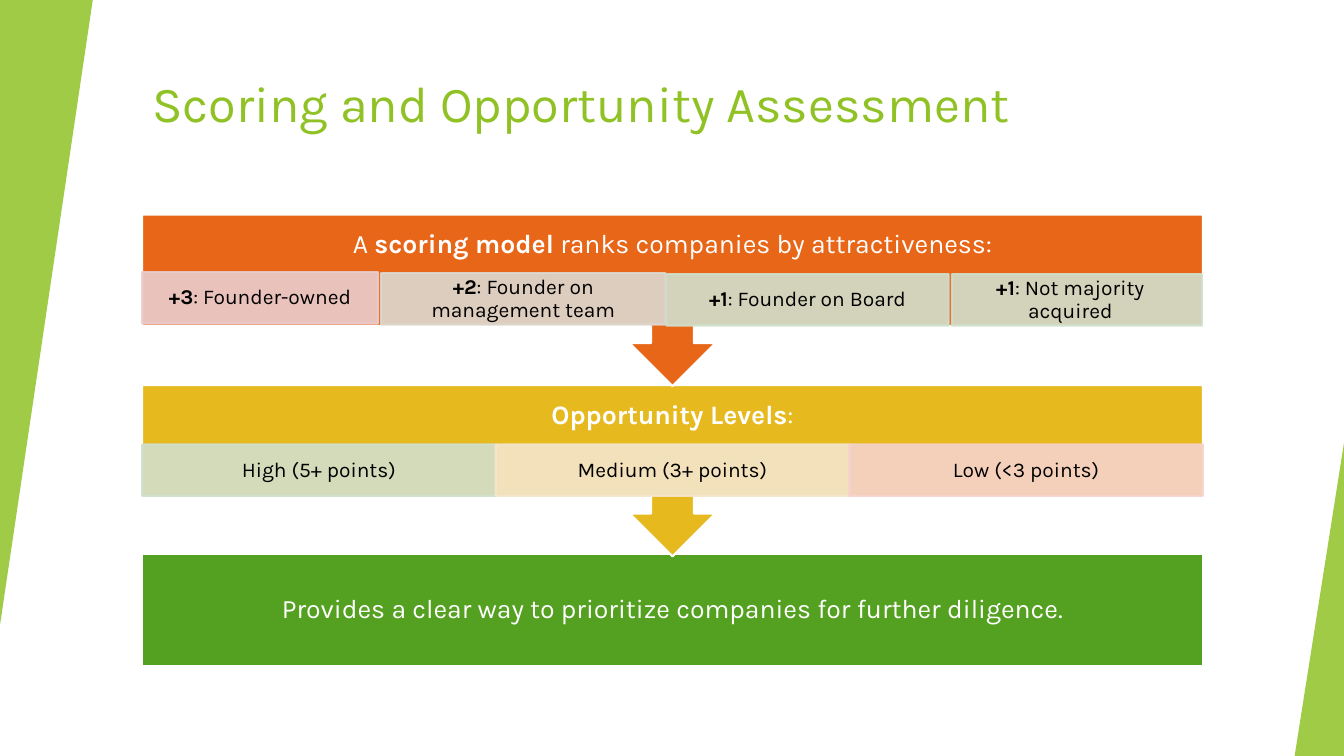
from pptx import Presentation
from pptx import util as u
from pptx.dml.color import RGBColor
from pptx.enum import shapes, text
from pptx.oxml import parse_xml
from pptx.oxml.ns import nsdecls

FONT = "Karla"
LIME, WHITE, BLACK = "90C226", "FFFFFF", "000000"
LEFT, WIDTH = 1.41, 10.52
STAGE_HEIGHT, CHIP_HEIGHT = 1.7, 0.51
STAGE_INSETS = (0.15, 0.15, 0.15, 0.15)
HEADER_INSETS = (0.15, 0.15, 0.15, 0.65)  # keeps the header above the chips
CHIP_INSETS = (0.12, 0.02, 0.12, 0.02)

# Chips: left and top inside the stage, width, fill, right inset, (text, bold) runs
CRITERIA = [
    (0, 0.57, 2.34, "EACDCD", 0.12, [("+3", True), (": Founder-owned", False)]),
    (2.37, 0.58, 2.82, "DCD9D1", 0.12,
     [("+2", True), (": Founder on management team", False)]),
    (5.2, 0.59, 2.8, "D1DFCD", 0.12, [("+1", True), (": Founder on Board", False)]),
    (8.03, 0.59, 2.48, "D1DFCD", 0.25,
     [("+1", True), (": Not majority acquired", False)]),
]
LEVELS = [
    (i * WIDTH / 3, 0.59, WIDTH / 3, color, 0.12, [(label, False)])
    for i, (label, color) in enumerate([
        ("High (5+ points)", "D1DFCD"),
        ("Medium (3+ points)", "F5E6CD"),
        ("Low (<3 points)", "F6D3CC"),
    ])
]


def rgb(value):
    return RGBColor.from_string(value)


def set_alpha(fill_format, percent):
    color = fill_format._xPr.find(".//{*}srgbClr")
    color.append(parse_xml(f'<a:alpha {nsdecls("a")} val="{percent * 1000}"/>'))


def add_box(slide, kind, box, fill, line=None, alpha=100):
    """Add a filled shape at box = (left, top, width, height)."""
    shape = slide.shapes.add_shape(kind, *map(u.Inches, box))
    shape.shadow.inherit = False
    shape.fill.solid()
    shape.fill.fore_color.rgb = rgb(fill)
    if line:
        shape.line.color.rgb = rgb(line)
        shape.line.width = u.Pt(1.5)
    else:
        shape.line.fill.background()
    if alpha < 100:
        set_alpha(shape.fill, alpha)
        if line:
            set_alpha(shape.line.fill, alpha)
    return shape


def style_font(font, size, color, bold=False):
    font.name = FONT
    font.size = u.Pt(size)
    font.bold = bold
    font.color.rgb = rgb(color)


def write(shape, runs, size, color, insets):
    frame = shape.text_frame
    frame.word_wrap = True
    frame.vertical_anchor = text.MSO_ANCHOR.MIDDLE
    frame.margin_left, frame.margin_top, frame.margin_right, frame.margin_bottom = map(
        u.Inches, insets)
    para = frame.paragraphs[0]
    para.alignment = text.PP_ALIGN.CENTER
    para.line_spacing = 0.9
    for words, bold in runs:
        span = para.add_run()
        span.text = words
        style_font(span.font, size, color, bold)


def add_title(slide, box, words):
    title = slide.shapes.title
    title.left, title.top, title.width, title.height = map(u.Inches, box)
    frame = title.text_frame
    frame.text = words
    frame.word_wrap = True
    frame.vertical_anchor = text.MSO_ANCHOR.TOP
    para = frame.paragraphs[0]
    para.alignment = text.PP_ALIGN.LEFT
    style_font(para.runs[0].font, 36, LIME)


def add_side_triangle(slide, box, rotation=0):
    triangle = add_box(slide, shapes.MSO_SHAPE.ISOSCELES_TRIANGLE, box, LIME, alpha=85)
    triangle.adjustments[0] = 1
    triangle.rotation = rotation


def add_stage(slide, box, color, header, chips):
    """Add a callout pointing down, its header and its row of chips."""
    left, top = box[:2]
    callout = add_box(slide, shapes.MSO_SHAPE.DOWN_ARROW_CALLOUT, box, color, WHITE)
    write(callout, header, 19, WHITE, HEADER_INSETS)
    for dx, dy, width, fill, right_inset, runs in chips:
        chip = add_box(slide, shapes.MSO_SHAPE.RECTANGLE,
                       (left + dx, top + dy, width, CHIP_HEIGHT), fill, fill, 90)
        inset_left, inset_top, _, inset_bottom = CHIP_INSETS
        write(chip, runs, 15, BLACK, (inset_left, inset_top, right_inset, inset_bottom))


def add_conclusion(slide, box, words):
    panel = add_box(slide, shapes.MSO_SHAPE.RECTANGLE, box, "54A021", WHITE)
    write(panel, [(words, False)], 19, WHITE, STAGE_INSETS)


def main():
    deck = Presentation()
    deck.slide_width, deck.slide_height = u.Inches(13.33), u.Inches(7.5)
    slide = deck.slides.add_slide(deck.slide_layouts[5])

    # Title and side decoration
    add_title(slide, (LEFT, 0.67, 11.15, 1.2), "Scoring and Opportunity Assessment")
    add_side_triangle(slide, (0, 0, 0.92, 6.2), rotation=180)
    add_side_triangle(slide, (12.84, 4.39, 0.49, 3.11))

    # Stages from the bottom up, so each arrow tip lies over the next stage
    add_conclusion(slide, (LEFT, 5.5, WIDTH, 1.11),
                   "Provides a clear way to prioritize companies for further diligence.")
    add_stage(slide, (LEFT, 3.82, WIDTH, STAGE_HEIGHT), "E6B91E",
              [("Opportunity Levels", True), (":", False)], LEVELS)
    add_stage(slide, (LEFT, 2.13, WIDTH, STAGE_HEIGHT), "E76618",
              [("A ", False), ("scoring model", True),
               (" ranks companies by attractiveness:", False)], CRITERIA)

    deck.save("out.pptx")


if __name__ == "__main__":
    main()
